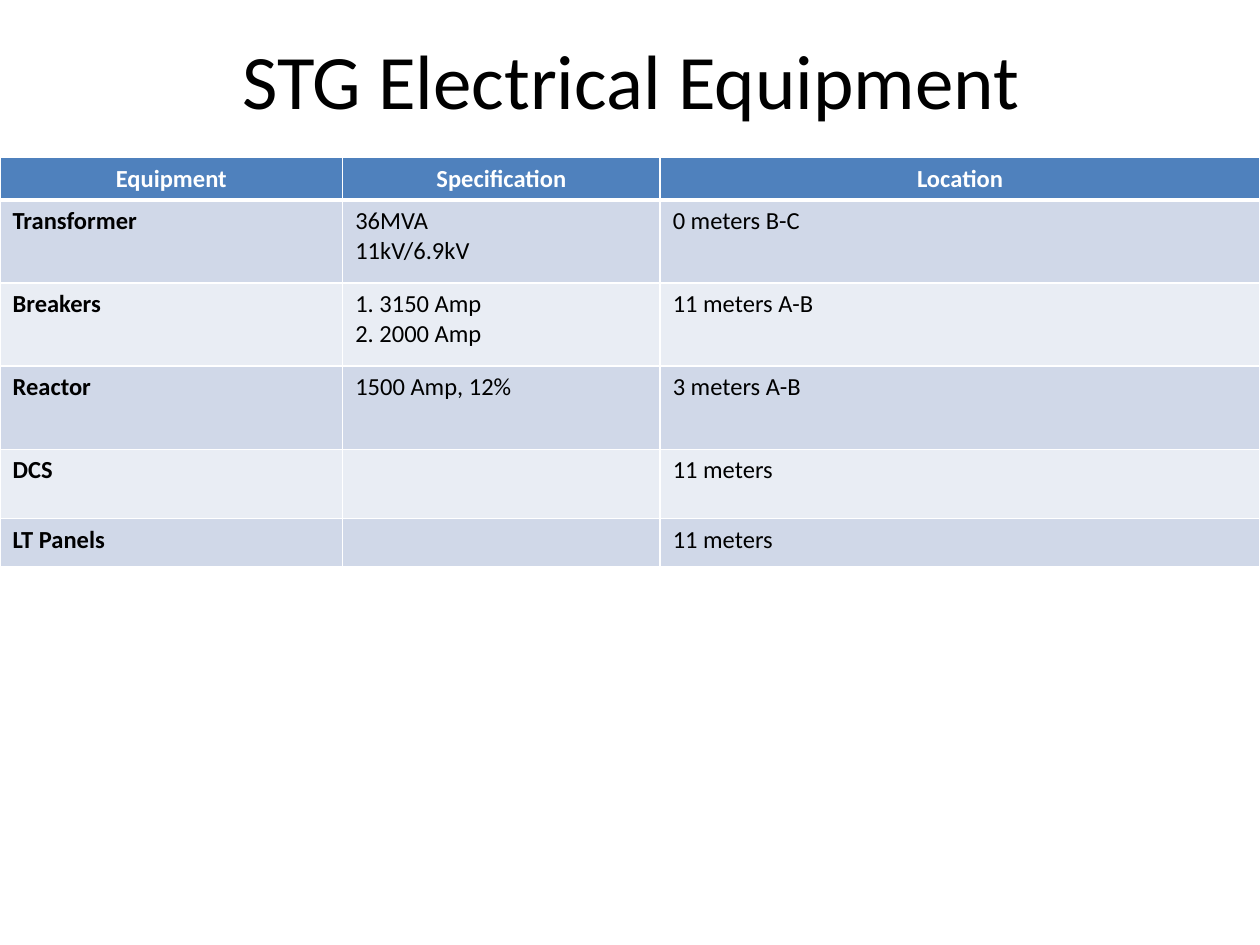
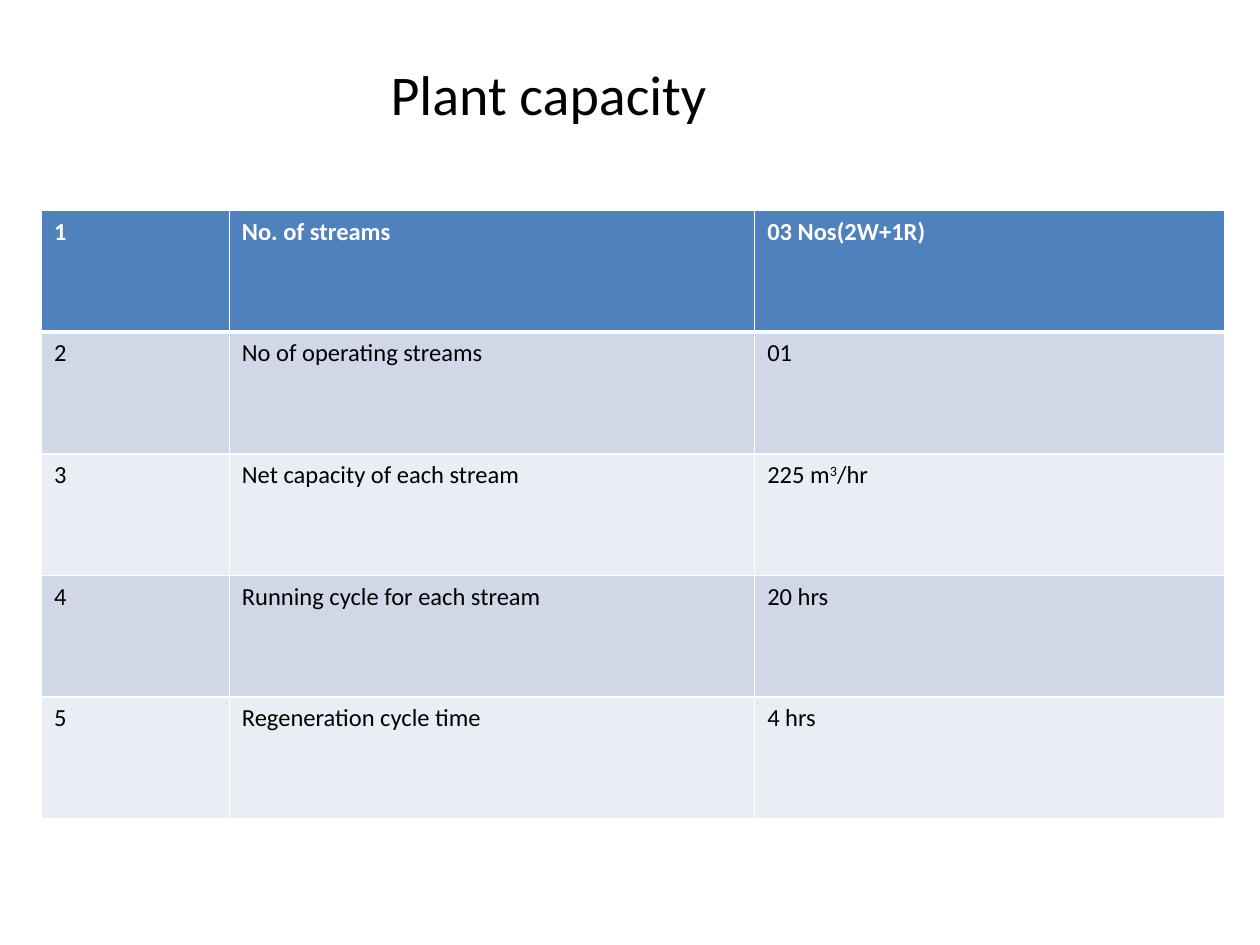
from lxml.etree import SubElement
from pptx import Presentation
from pptx.dml.color import RGBColor
from pptx.enum.text import MSO_ANCHOR, MSO_AUTO_SIZE, PP_ALIGN
from pptx.oxml.ns import qn
from pptx.util import Inches, Pt

WIDTH, HEIGHT = 10, 7.5
FONT = "Calibri"
BLACK, WHITE = "000000", "FFFFFF"
HEADER_FILL = "4F81BD"
BAND_FILLS = ("D0D8E8", "E9EDF4")
TITLE_ONLY_LAYOUT = 5
CELL_SIZE = 14


def color(value):
    """Turn a hex string into a colour."""
    return RGBColor.from_string(value)


def apply_format(target, values):
    """Set each attribute of the target from a dict."""
    for name, value in values.items():
        setattr(target, name, value)


def format_run(run, size, hex_color, bold=False):
    """Give a run the shared font, with its size, colour and weight."""
    apply_format(run.font, {"name": FONT, "size": Pt(size), "bold": bold})
    run.font.color.rgb = color(hex_color)


def add_title(slide, text, box, size, align, frame_format):
    """Place and style the slide's title placeholder."""
    title = slide.shapes.title
    left, top, width, height = map(Inches, box)
    apply_format(title, {"left": left, "top": top, "width": width, "height": height})
    apply_format(title.text_frame, frame_format)
    paragraph = title.text_frame.paragraphs[0]
    paragraph.alignment = align
    run = paragraph.add_run()
    run.text = text
    format_run(run, size, BLACK)


def add_borders(cell, is_header):
    """Draw white borders, with a thick line below the header row."""
    properties = cell._tc.get_or_add_tcPr()
    for side in ("lnL", "lnR", "lnT", "lnB"):
        points = 3 if is_header and side == "lnB" else 1
        line = SubElement(properties, qn(f"a:{side}"), w=str(Pt(points)))
        fill = SubElement(line, qn("a:solidFill"))
        SubElement(fill, qn("a:srgbClr"), val=WHITE)


def fill_cell(cell, text, fill, hex_color, bold, align):
    """Write a cell: newlines split paragraphs, carets enclose superscripts."""
    cell.fill.solid()
    cell.fill.fore_color.rgb = color(fill)
    cell.text_frame.text = text
    for paragraph in cell.text_frame.paragraphs:
        paragraph.alignment = align
        if not text:
            SubElement(paragraph._p, qn("a:endParaRPr"), sz=str(CELL_SIZE * 100))
        parts = "".join(run.text for run in paragraph.runs).split("^")
        paragraph.clear()
        for index, part in enumerate(parts if text else []):
            run = paragraph.add_run()
            run.text = part
            format_run(run, CELL_SIZE, hex_color, bold)
            if index % 2:
                run.font._element.set("baseline", "30000")


def add_banded_table(slide, rows, origin, column_widths, row_heights,
                     header_align=PP_ALIGN.LEFT, bold_first_column=False):
    """Add a table with a blue header row and alternating body rows."""
    left, top = origin
    box = (left, top, sum(column_widths), sum(row_heights))
    table = slide.shapes.add_table(
        len(rows), len(column_widths), *map(Inches, box)).table
    for column, width in zip(table.columns, column_widths):
        column.width = Inches(width)
    for row_index, (row, height) in enumerate(zip(rows, row_heights)):
        table.rows[row_index].height = Inches(height)
        is_header = row_index == 0
        for column_index, text in enumerate(row):
            cell = table.cell(row_index, column_index)
            add_borders(cell, is_header)
            fill_cell(
                cell, text,
                HEADER_FILL if is_header else BAND_FILLS[(row_index - 1) % 2],
                WHITE if is_header else BLACK,
                is_header or (bold_first_column and column_index == 0),
                header_align if is_header else PP_ALIGN.LEFT)


def build_equipment_slide(slide):
    """Electrical equipment with its specification and location."""
    add_title(slide, "STG Electrical Equipment", (0.51, 0, 0.9 * WIDTH, HEIGHT / 6),
              44, PP_ALIGN.CENTER,
              {"vertical_anchor": MSO_ANCHOR.MIDDLE, "auto_size": MSO_AUTO_SIZE.NONE})
    rows = [
        ("Equipment", "Specification", "Location"),
        ("Transformer", "36MVA\n11kV/6.9kV", "0 meters B-C"),
        ("Breakers", "1. 3150 Amp\n2. 2000 Amp", "11 meters A-B"),
        ("Reactor", "1500 Amp, 12%", "3 meters A-B"),
        ("DCS", "", "11 meters"),
        ("LT Panels", "", "11 meters"),
    ]
    add_banded_table(slide, rows, (0, HEIGHT / 6), (2.72, 2.52, 4.76),
                     (0.33, 0.66, 0.66, 0.66, 0.55, 0.38),
                     PP_ALIGN.CENTER, bold_first_column=True)


def build_capacity_slide(slide):
    """Numbered capacity figures of the plant."""
    add_title(slide, "Plant capacity", (3, 0.42, 2.74, 0.64), 32, PP_ALIGN.LEFT,
              {"vertical_anchor": MSO_ANCHOR.TOP, "word_wrap": False,
               "auto_size": MSO_AUTO_SIZE.SHAPE_TO_FIT_TEXT})
    entries = [
        ("No. of streams", "03 Nos(2W+1R)"),
        ("No of operating streams", "01"),
        ("Net capacity of each stream", "225 m^3^/hr"),
        ("Running cycle for each stream", "20 hrs"),
        ("Regeneration cycle time", "4 hrs"),
    ]
    rows = [(str(number), *entry) for number, entry in enumerate(entries, 1)]
    table_height = 4.83
    add_banded_table(slide, rows, (0.33, 1.67), (1.49, 4.17, 3.73),
                     [table_height / len(rows)] * len(rows))


def main():
    """Build and save the presentation."""
    presentation = Presentation()
    apply_format(presentation, {"slide_width": Inches(WIDTH),
                                "slide_height": Inches(HEIGHT)})
    layout = presentation.slide_layouts[TITLE_ONLY_LAYOUT]
    for build in (build_equipment_slide, build_capacity_slide):
        build(presentation.slides.add_slide(layout))
    presentation.save("out.pptx")


main()
